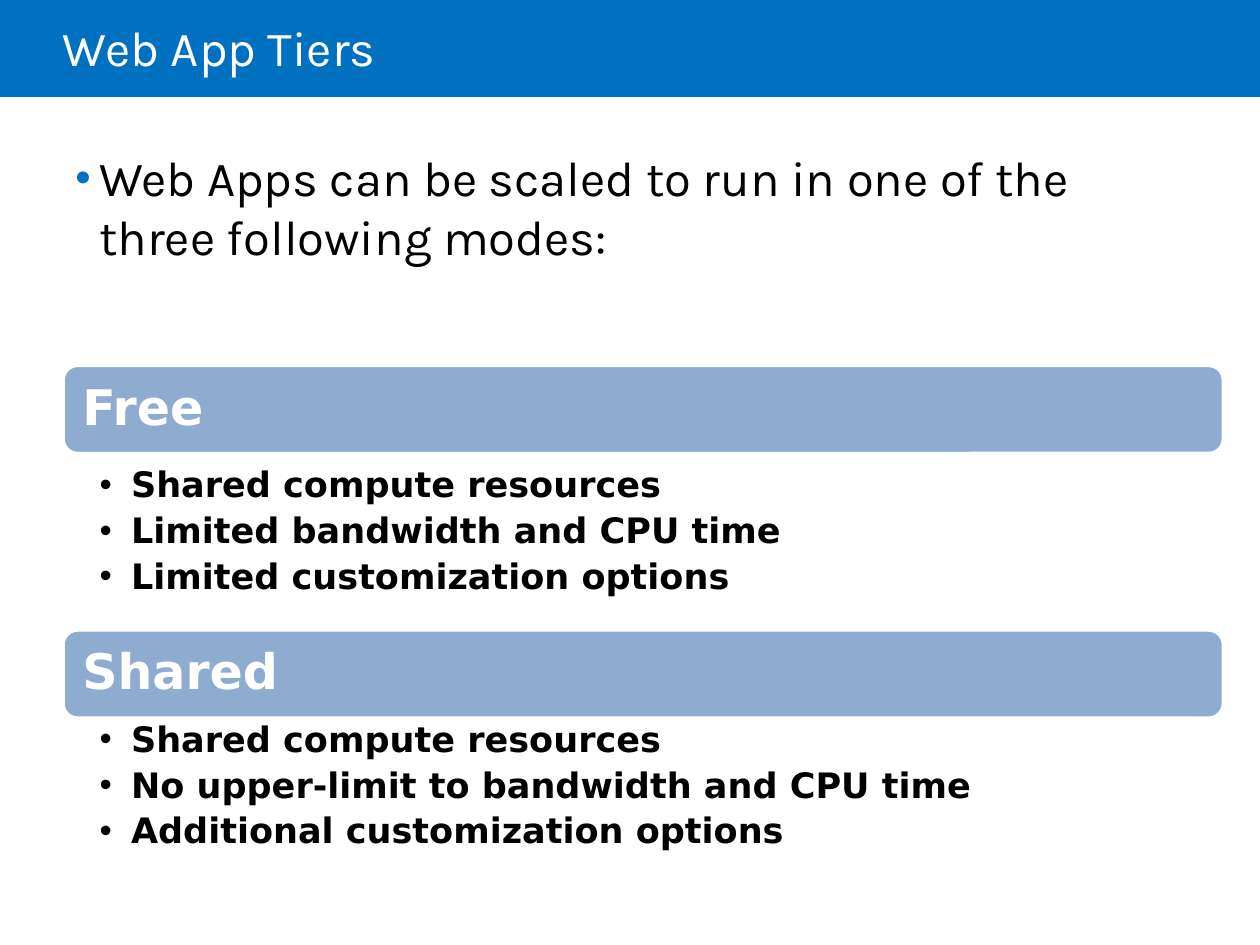
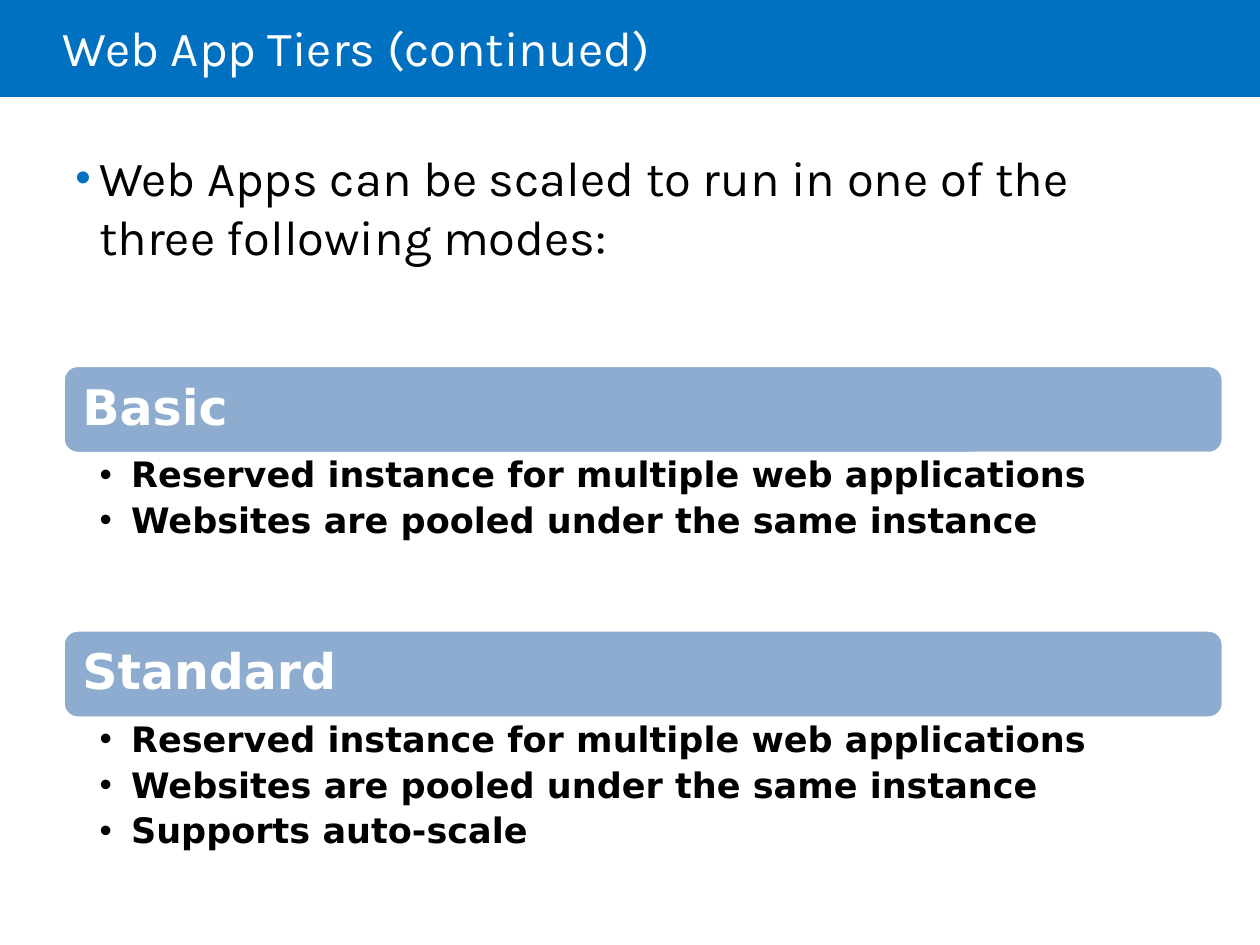
"""Builds two slides that describe the tiers of web apps."""
from dataclasses import dataclass

from lxml import etree
from pptx import Presentation
from pptx import util as u
from pptx.dml.color import RGBColor
from pptx.enum import shapes, text
from pptx.oxml import ns


@dataclass(frozen=True)
class Theme:
    band: str = "0070C0"
    bar: str = "8DACD0"
    light: str = "FFFFFF"
    dark: str = "000000"
    body_font: str = "Karla"
    tier_font: str = "DejaVu Sans"
    large: int = 28
    small: int = 20


LEFT = 0.5
TIER_WIDTH = 9.21
BAR_HEIGHT = 0.7
TIER_TOP = 2.9
TIER_PITCH = 2.1
INTRO = "Web Apps can be scaled to run in one of the three following modes:"

SLIDES = [
    ("Web App Tiers", [
        ("Free", 0.08, ["Shared compute resources",
                        "Limited bandwidth and CPU time",
                        "Limited customization options"]),
        ("Shared", 0, ["Shared compute resources",
                       "No upper-limit to bandwidth and CPU time",
                       "Additional customization options"]),
    ]),
    ("Web App Tiers (continued)", [
        ("Basic", 0, ["Reserved instance for multiple web applications",
                      "Websites are pooled under the same instance"]),
        ("Standard", 0, ["Reserved instance for multiple web applications",
                         "Websites are pooled under the same instance",
                         "Supports auto-scale"]),
    ]),
]


def apply(target, **values):
    for name, value in values.items():
        setattr(target, name, value)


class Deck:
    def __init__(self, theme):
        self.theme = theme
        self.presentation = Presentation()
        apply(self.presentation, slide_width=u.Inches(10), slide_height=u.Inches(7.5))
        self.slide = None

    def add_slide(self, title):
        self.slide = self.presentation.slides.add_slide(self.presentation.slide_layouts[6])
        self.block(shapes.MSO_SHAPE.RECTANGLE, (0, 0, 10, 0.77), self.theme.band)
        box = self.text_box((LEFT, 0, 8.5, 0.81))
        self.set_text(box, [title], self.theme.body_font, self.theme.large, self.theme.light,
                      insets=(0, 0.05, 0.1, 0.05), anchor=text.MSO_ANCHOR.MIDDLE,
                      spacing={"line_spacing": 0.85})

    def block(self, kind, place, fill, line=None):
        shape = self.slide.shapes.add_shape(kind, *map(u.Inches, place))
        shape.shadow.inherit = False
        shape.fill.solid()
        shape.fill.fore_color.rgb = RGBColor.from_string(fill)
        if line:
            shape.line.color.rgb = RGBColor.from_string(line)
            shape.line.width = u.Pt(2)
        else:
            shape.line.fill.background()
        return shape

    def text_box(self, place):
        return self.slide.shapes.add_textbox(*map(u.Inches, place))

    def set_text(self, shape, lines, font, size, color, insets=(0.1, 0.05, 0.1, 0.05),
                 anchor=text.MSO_ANCHOR.TOP, bold=False, spacing=None, bullet=None):
        frame = shape.text_frame
        sides = ("margin_left", "margin_top", "margin_right", "margin_bottom")
        apply(frame, word_wrap=True, vertical_anchor=anchor,
              **dict(zip(sides, map(u.Inches, insets))))
        for index, line in enumerate(lines):
            paragraph = frame.add_paragraph() if index else frame.paragraphs[0]
            apply(paragraph, alignment=text.PP_ALIGN.LEFT, **(spacing or {}))
            run = paragraph.add_run()
            run.text = line
            apply(run.font, name=font, size=u.Pt(size), bold=bold)
            run.font.color.rgb = RGBColor.from_string(color)
            if bullet:
                self.bullet(paragraph, **bullet)

    def bullet(self, paragraph, indent, color, percent=100):
        properties = paragraph._p.get_or_add_pPr()
        properties.set("marL", str(u.Inches(indent)))
        properties.set("indent", str(-u.Inches(indent)))
        bullet_color = etree.SubElement(properties, ns.qn("a:buClr"))
        etree.SubElement(bullet_color, ns.qn("a:srgbClr"), val=color)
        etree.SubElement(properties, ns.qn("a:buSzPct"), val=str(percent * 1000))
        etree.SubElement(properties, ns.qn("a:buFont"), typeface="Arial")
        etree.SubElement(properties, ns.qn("a:buChar"), char="•")

    def intro(self, line):
        self.set_text(self.text_box((LEFT, 1.12, 8.88, 1.4)), [line],
                      self.theme.body_font, self.theme.large, self.theme.dark,
                      spacing={"space_before": u.Pt(6)},
                      bullet={"indent": 0.19, "color": self.theme.band, "percent": 90})

    def tier(self, top, name, gap, features):
        bar = self.block(shapes.MSO_SHAPE.ROUNDED_RECTANGLE,
                         (LEFT, top, TIER_WIDTH, BAR_HEIGHT), self.theme.bar, self.theme.light)
        self.set_text(bar, [name], self.theme.tier_font, self.theme.large, self.theme.light,
                      insets=(0.12,) * 4, anchor=text.MSO_ANCHOR.MIDDLE, bold=True,
                      spacing={"line_spacing": 0.9})
        box = self.text_box((LEFT, top + BAR_HEIGHT + gap, TIER_WIDTH, 1.04))
        self.set_text(box, features, self.theme.tier_font, self.theme.small, self.theme.dark,
                      insets=(0.29, 0.03, 0.16, 0.03), bold=True,
                      spacing={"line_spacing": 0.9, "space_after": u.Pt(4.6)},
                      bullet={"indent": 0.25, "color": self.theme.dark})


def main():
    deck = Deck(Theme())
    for title, tiers in SLIDES:
        deck.add_slide(title)
        deck.intro(INTRO)
        for index, tier in enumerate(tiers):
            deck.tier(TIER_TOP + index * TIER_PITCH, *tier)
    deck.presentation.save("out.pptx")


if __name__ == "__main__":
    main()
